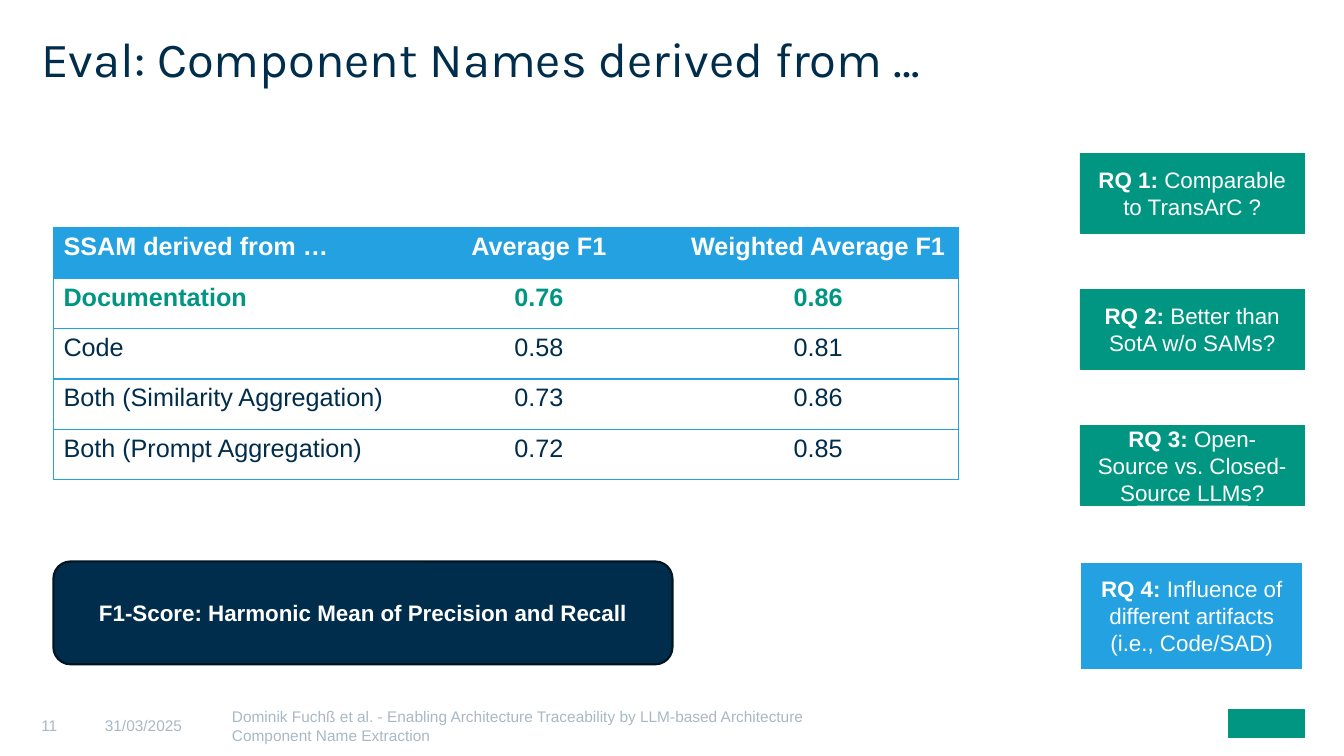
from lxml.etree import SubElement
from pptx import Presentation
from pptx.dml.color import RGBColor
from pptx.enum.shapes import MSO_SHAPE
from pptx.enum.text import MSO_ANCHOR, PP_ALIGN
from pptx.oxml.ns import qn
from pptx.util import Inches, Pt

NAVY, GREEN, BLUE = "002D4C", "009682", "23A1E0"
WHITE, GREY, EDGE = "FFFFFF", "A8B9C4", "001421"


def color(code):
    return RGBColor.from_string(code)


class Deck:
    """Hold the style and the current slide, and draw each kind of element."""

    def __init__(self):
        self.file = Presentation()
        self.file.slide_width = Inches(13.33)
        self.file.slide_height = Inches(7.5)
        self.slide = self.file.slides.add_slide(self.file.slide_layouts[5])
        self.shapes = self.slide.shapes

    def style(self, para, size, code, bold=None, align=PP_ALIGN.LEFT, face="Arial"):
        para.alignment = align
        font = para.font
        font.name, font.size, font.bold = face, Pt(size), bold
        font.color.rgb = color(code)

    def frame(self, shape, pads, anchor=MSO_ANCHOR.MIDDLE):
        frame = shape.text_frame
        frame.word_wrap = True
        frame.vertical_anchor = anchor
        (frame.margin_left, frame.margin_top,
         frame.margin_right, frame.margin_bottom) = map(Inches, pads)
        return frame.paragraphs[0]

    def title(self, text, *area):
        shape = self.shapes.title
        shape.left, shape.top, shape.width, shape.height = map(Inches, area)
        para = self.frame(shape, (0, 0, 0, 0), MSO_ANCHOR.TOP)
        para.text = text
        para.line_spacing = 0.8
        self.style(para, 35, NAVY, face="Karla")

    def note(self, text, left, width):
        shape = self.shapes.add_textbox(*map(Inches, (left, 6.86, width, 0.64)))
        para = self.frame(shape, (0, 0.04, 0, 0))
        para.text = text
        self.style(para, 11, GREY)

    def box(self, area, fill, line=None, width=0.25, kind=MSO_SHAPE.RECTANGLE):
        shape = self.shapes.add_shape(kind, *map(Inches, area))
        shape.shadow.inherit = False
        shape.fill.solid()
        shape.fill.fore_color.rgb = color(fill)
        shape.line.color.rgb = color(line or fill)
        shape.line.width = Pt(width)
        return shape

    def label(self, shape, head, body=""):
        para = self.frame(shape, [0.16] * 4)
        self.style(para, 16, WHITE, align=PP_ALIGN.CENTER)
        run = para.add_run()
        run.text, run.font.bold = head, True
        for i, part in enumerate(body.split("\n") if body else []):
            if i:
                para.add_line_break()
            run = para.add_run()
            run.text, run.font.bold = part, False

    def border(self, cell, first, last):
        props = cell._tc.get_or_add_tcPr()
        for side, shown in (("L", first), ("R", last), ("T", True), ("B", True)):
            line = SubElement(props, qn("a:ln" + side), w=str(Pt(1)))
            if shown:
                fill = SubElement(line, qn("a:solidFill"))
                SubElement(fill, qn("a:srgbClr"), val=BLUE)
            else:
                SubElement(line, qn("a:noFill"))

    def table(self, rows, widths, left, top, step):
        area = left, top, sum(widths), step * len(rows)
        grid = self.shapes.add_table(len(rows), len(widths), *map(Inches, area)).table
        grid.horz_banding = False
        for col, width in zip(grid.columns, widths):
            col.width = Inches(width)
        for i, row in enumerate(rows):
            code = (WHITE, GREEN)[i] if i < 2 else NAVY
            for j, text in enumerate(row):
                cell = grid.cell(i, j)
                self.border(cell, j == 0, j == len(row) - 1)
                cell.fill.solid()
                cell.fill.fore_color.rgb = color(WHITE if i else BLUE)
                cell.text = text
                align = PP_ALIGN.CENTER if j else PP_ALIGN.LEFT
                self.style(cell.text_frame.paragraphs[0], 18, code, i < 2, align)


def main():
    deck = Deck()
    deck.title("Eval: Component Names derived from …", 0.41, 0.4, 12.52, 1.1)
    deck.box((12.18, 7.04, 0.76, 0.27), GREEN)

    notes = [
        ("11", 0.41, 0.63),
        ("31/03/2025", 1.04, 1.26),
        ("Dominik Fuchß et al. - Enabling Architecture Traceability by "
         "LLM-based Architecture Component Name Extraction", 2.3, 6.38),
    ]
    for note in notes:
        deck.note(*note)

    rows = [
        ("SSAM derived from …", "Average F1", "Weighted Average F1"),
        ("Documentation", "0.76", "0.86"),
        ("Code", "0.58", "0.81"),
        ("Both (Similarity Aggregation)", "0.73", "0.86"),
        ("Both (Prompt Aggregation)", "0.72", "0.85"),
    ]
    deck.table(rows, (3.44, 2.75, 2.79), 0.53, 2.26, 0.5)

    score = deck.box((0.53, 5.57, 6.14, 1.02), NAVY, EDGE, 1.5,
                     MSO_SHAPE.ROUNDED_RECTANGLE)
    deck.label(score, "F1-Score: Harmonic Mean of Precision and Recall")

    goals = [
        "Comparable to TransArC ?",
        "Better than SotA w/o SAMs?",
        "Open-Source vs. Closed-Source LLMs?",
        "Influence of different artifacts\n(i.e., Code/SAD)",
    ]
    for i, goal in enumerate(goals):
        top = 1.52 + 1.35 * i
        if i < 3:
            shape = deck.box((10.71, top, 2.23, 0.79), GREEN)
        else:
            shape = deck.box((10.71, top, 2.22, 1.08), BLUE, WHITE, 2)
        deck.label(shape, f"RQ {i + 1}: ", goal)

    deck.file.save("out.pptx")


if __name__ == "__main__":
    main()
